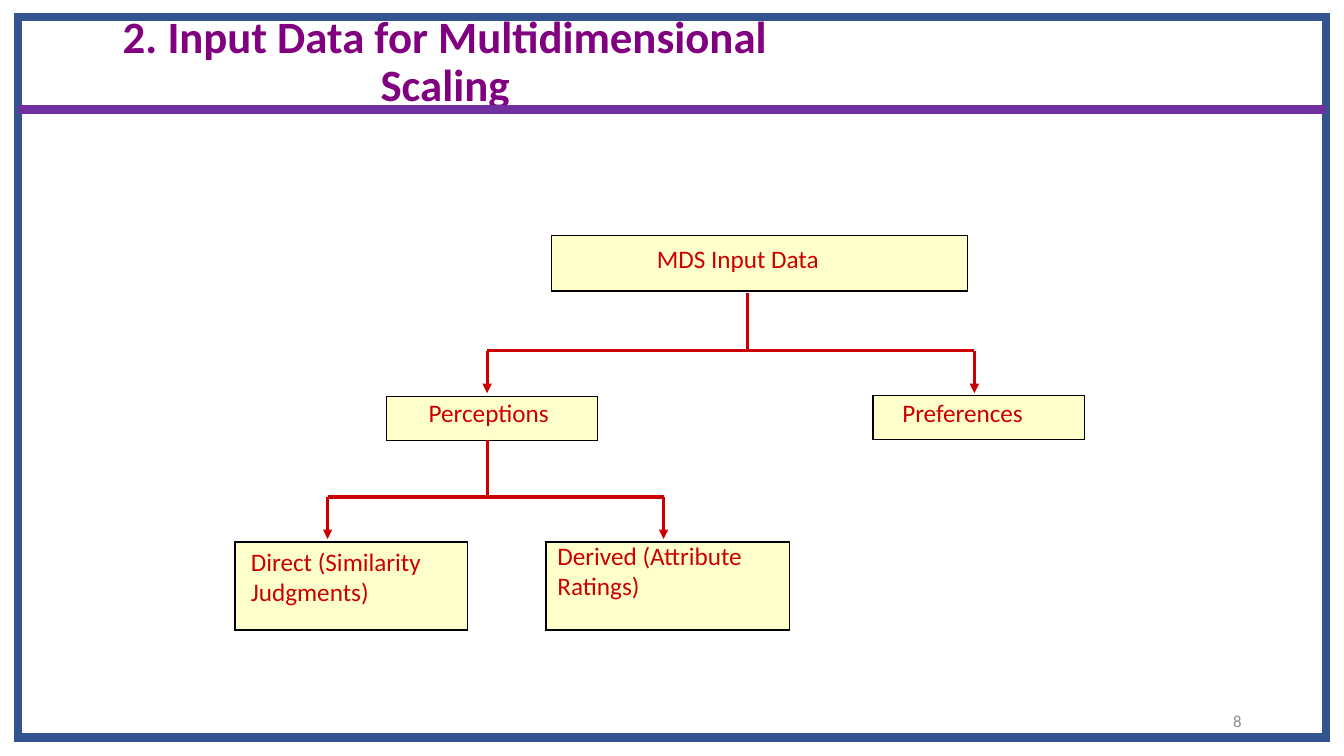
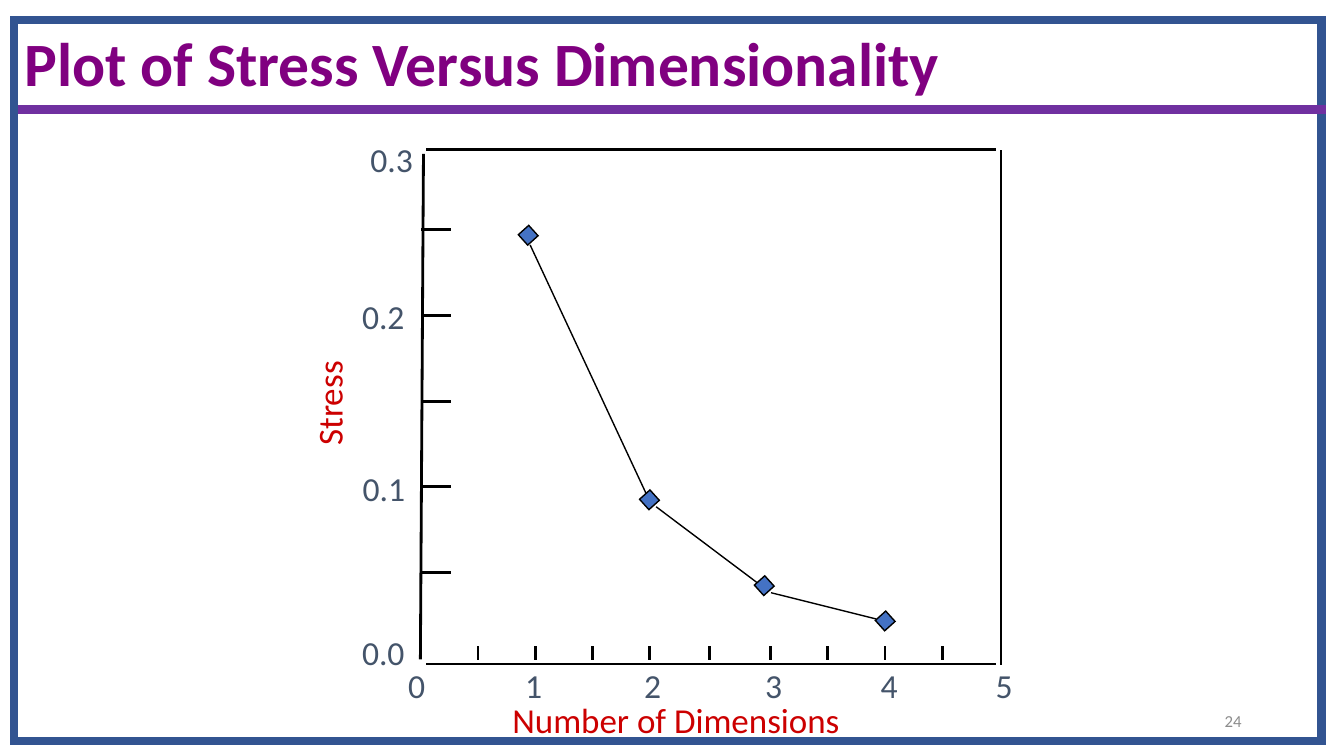
from dataclasses import dataclass

from pptx import Presentation
from pptx.dml.color import RGBColor
from pptx.enum.shapes import MSO_CONNECTOR as Connector
from pptx.enum.shapes import MSO_SHAPE as ShapeType
from pptx.enum.text import MSO_ANCHOR as Anchor
from pptx.enum.text import PP_ALIGN as Align
from pptx.oxml import parse_xml
from pptx.oxml.ns import nsdecls
from pptx.util import Pt

FONT = "Calibri"
BLACK = "000000"
PURPLE = "800080"
RULE_PURPLE = "7030A0"
FRAME_BLUE = "325491"
RED = "CC0000"
CREAM = "FFFFCC"
MARKER_BLUE = "4472C4"
SLATE = "44546A"
GREY = "8C8C8C"


@dataclass(frozen=True)
class Area:
    left: float
    top: float
    width: float
    height: float

    def lengths(self) -> tuple:
        return Pt(self.left), Pt(self.top), Pt(self.width), Pt(self.height)


@dataclass(frozen=True)
class Box:
    text: str
    area: Area
    inset_left: float
    inset_top: float


@dataclass(frozen=True)
class Branch:
    trunk_x: float
    trunk_top: float
    bar_y: float
    child_xs: tuple[float, float]
    tip_y: float


@dataclass(frozen=True)
class Label:
    text: str
    left: float
    top: float


@dataclass(frozen=True)
class Segment:
    start: tuple[float, float]
    end: tuple[float, float]


BOXES = (
    Box("MDS Input Data", Area(394, 168, 297, 40), 75.2, 5.5),
    Box("Perceptions", Area(276, 283, 151, 31.5), 30.2, 0.8),
    Box("Preferences", Area(623.5, 282.3, 151.3, 31.5), 21, 1.5),
    Box("Direct (Similarity Judgments)", Area(168, 387, 166, 63), 11.2, 3),
    Box("Derived (Attribute Ratings)", Area(390, 387, 174, 63), 8.2, -1.4),
)
BRANCHES = (
    Branch(534, 209.5, 250.5, (348, 696), 280.8),
    Branch(348, 314, 355, (234, 474), 385),
)
STRESS_LABELS = (
    Label("0.3", 257.5, 96),
    Label("0.2", 251.5, 208),
    Label("0.1", 252, 330.5),
    Label("0.0", 251.5, 448),
)
DIMENSION_LABELS = tuple(
    Label(str(number), left, 471.5)
    for number, left in enumerate((284.5, 368, 453, 539.5, 622, 704))
)
PLOT_SIDES = (
    Segment((302.5, 110), (300.3, 471)),
    Segment((304.5, 107), (711.5, 107)),
    Segment((304.5, 474.3), (711.5, 474.3)),
    Segment((715, 475), (715, 107)),
)
STRESS_TICKS = tuple(
    Segment((322, 164.1 + 61.2 * step), (301, 164.1 + 61.2 * step)) for step in range(5)
)
DIMENSION_TICKS = tuple(
    Segment((x, 461.5), (x, 471.5))
    for x in (341.5, 382.5, 423.2, 464, 507, 550.6, 591.2, 632.2, 673)
)
CURVE = (
    Segment((378.7, 175), (463, 355.7)),
    Segment((468.7, 362), (543.6, 418.3)),
    Segment((550.8, 423.4), (625.7, 442.1)),
)
POINTS = ((377.3, 168), (463.9, 357), (545.9, 418.3), (632.3, 443.5))
MARKER_SIZE = 10


def color(value: str) -> RGBColor:
    return RGBColor.from_string(value)


def style_line(line, value: str, weight: float) -> None:
    line.color.rgb = color(value)
    line.width = Pt(weight)


def add_text(paragraph, text: str, size: float, value: str, bold: bool = False) -> None:
    run = paragraph.add_run()
    run.text = text
    run.font.name = FONT
    run.font.size = Pt(size)
    run.font.bold = bold
    run.font.color.rgb = color(value)


def add_text_box(
    slide, area: Area, text: str, size: float, value: str, align=Align.LEFT, anchor=Anchor.TOP
):
    shape = slide.shapes.add_textbox(*area.lengths())
    frame = shape.text_frame
    frame.word_wrap = True
    frame.vertical_anchor = anchor
    paragraph = frame.paragraphs[0]
    paragraph.alignment = align
    add_text(paragraph, text, size, value)
    return shape


def add_line(slide, segment: Segment, value: str, weight: float, arrow: bool = False) -> None:
    ends = (Pt(length) for length in (*segment.start, *segment.end))
    connector = slide.shapes.add_connector(Connector.STRAIGHT, *ends)
    style_line(connector.line, value, weight)
    if arrow:
        connector.line._get_or_add_ln().append(
            parse_xml(f'<a:tailEnd {nsdecls("a")} type="triangle"/>')
        )
    connector._element.spPr.append(parse_xml(f'<a:effectLst {nsdecls("a")}/>'))


def add_rectangle(slide, area: Area, fill: str | None, line: str, weight: float):
    shape = slide.shapes.add_shape(ShapeType.RECTANGLE, *area.lengths())
    shape.shadow.inherit = False
    if fill:
        shape.fill.solid()
        shape.fill.fore_color.rgb = color(fill)
    else:
        shape.fill.background()
    style_line(shape.line, line, weight)
    shape.line._get_or_add_ln().append(
        parse_xml(f'<a:miter {nsdecls("a")} lim="800000"/>')
    )
    return shape


def add_titled_slide(presentation, title: str, area: Area, size: float):
    slide = presentation.slides.add_slide(presentation.slide_layouts[5])
    shape = slide.shapes.title
    shape.left, shape.top, shape.width, shape.height = area.lengths()
    frame = shape.text_frame
    frame.vertical_anchor = Anchor.MIDDLE
    frame.word_wrap = True
    paragraph = frame.paragraphs[0]
    paragraph.alignment = Align.CENTER
    paragraph.line_spacing = 0.9
    add_text(paragraph, title, size, PURPLE, True)
    return slide


def add_border(slide, left: float, top: float, number: str) -> None:
    add_rectangle(slide, Area(left, top, 934, 515), None, FRAME_BLUE, 6)
    add_line(slide, Segment((13, 78.2), (947, 78.2)), RULE_PURPLE, 6)
    area = Area(678, 500.5, 216, 29)
    add_text_box(slide, area, number, 12, GREY, Align.RIGHT, Anchor.MIDDLE)


def add_box(slide, box: Box) -> None:
    frame = add_rectangle(slide, box.area, CREAM, BLACK, 1).text_frame
    frame.word_wrap = True
    frame.vertical_anchor = Anchor.TOP
    frame.margin_left, frame.margin_top = Pt(box.inset_left), Pt(box.inset_top)
    frame.margin_right = frame.margin_bottom = Pt(0)
    paragraph = frame.paragraphs[0]
    paragraph.alignment = Align.LEFT
    add_text(paragraph, box.text, 18, RED)


def add_branch(slide, branch: Branch) -> None:
    trunk_end = (branch.trunk_x, branch.bar_y)
    bar = [(x, branch.bar_y) for x in branch.child_xs]
    add_line(slide, Segment((branch.trunk_x, branch.trunk_top), trunk_end), RED, 2.25)
    add_line(slide, Segment(*bar), RED, 2.25)
    for start in bar:
        add_line(slide, Segment(start, (start[0], branch.tip_y)), RED, 2.25, arrow=True)


def add_marker(slide, center: tuple[float, float]) -> None:
    left, top = (length - MARKER_SIZE / 2 for length in center)
    area = Area(left, top, MARKER_SIZE, MARKER_SIZE)
    add_rectangle(slide, area, MARKER_BLUE, BLACK, 1).rotation = 228


def build_input_data(presentation) -> None:
    slide = add_titled_slide(
        presentation, "2. Input Data for Multidimensional Scaling", Area(42.5, 16.3, 551, 57.5), 32
    )
    for box in BOXES:
        add_box(slide, box)
    for branch in BRANCHES:
        add_branch(slide, branch)
    add_border(slide, 13, 12, "8")


def build_stress_plot(presentation) -> None:
    slide = add_titled_slide(
        presentation, "Plot of Stress Versus Dimensionality", Area(1.7, 18.5, 686, 57.5), 44
    )
    for label in STRESS_LABELS + DIMENSION_LABELS:
        add_text_box(slide, Area(label.left, label.top, 54, 36), label.text, 24, SLATE)
    add_text_box(
        slide, Area(324, 495.5, 317.5, 36.5), "Number of Dimensions", 25, RED, Align.CENTER
    )
    add_text_box(slide, Area(188.5, 261, 92, 36.5), "Stress", 25, RED).rotation = 270
    for segment in PLOT_SIDES + STRESS_TICKS + DIMENSION_TICKS:
        add_line(slide, segment, BLACK, 2)
    for segment in CURVE:
        add_line(slide, segment, BLACK, 1)
    for point in POINTS:
        add_marker(slide, point)
    add_border(slide, 10, 14.5, "24")


def main() -> None:
    presentation = Presentation()
    presentation.slide_width, presentation.slide_height = Pt(960), Pt(540)
    build_input_data(presentation)
    build_stress_plot(presentation)
    presentation.save("out.pptx")


if __name__ == "__main__":
    main()
